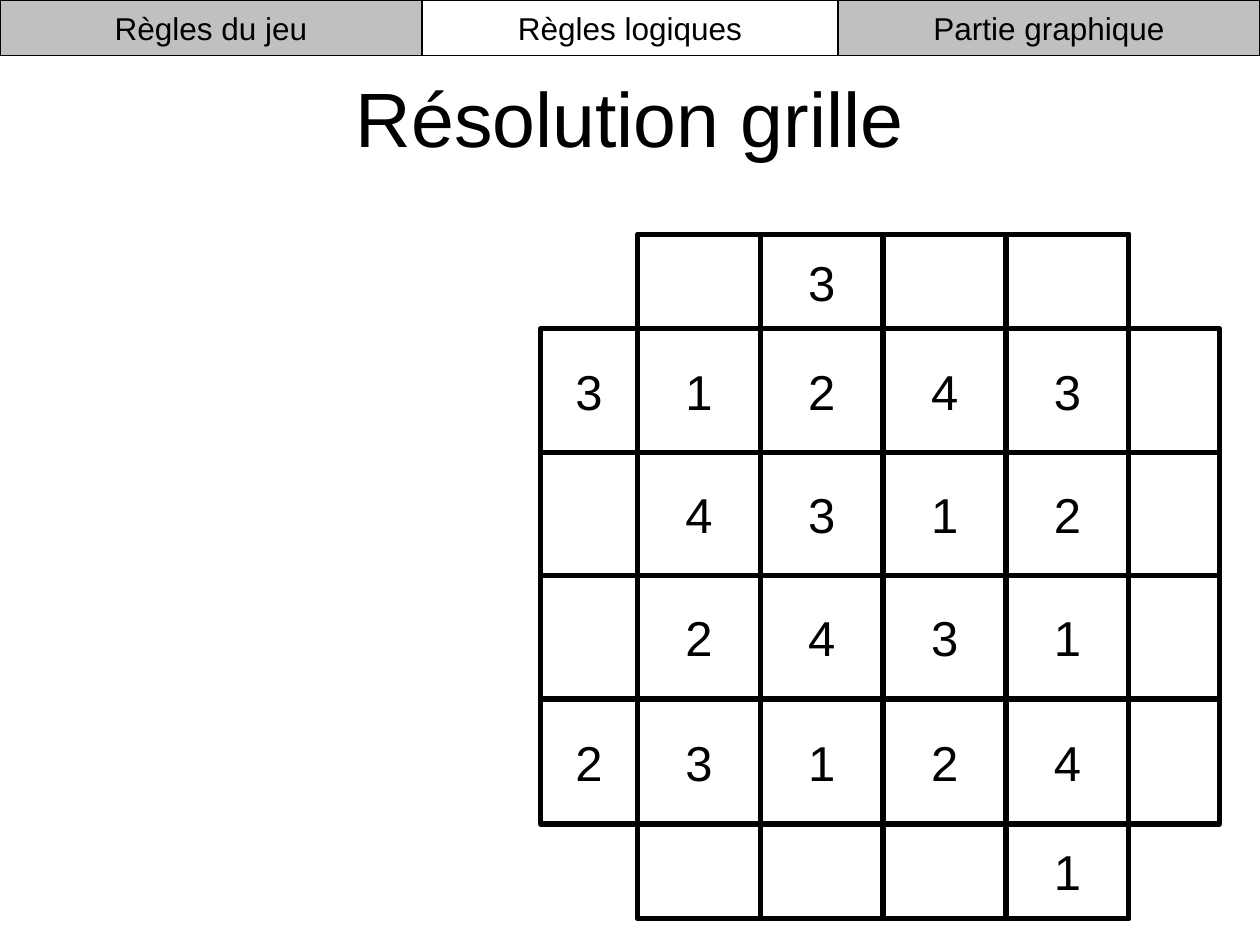
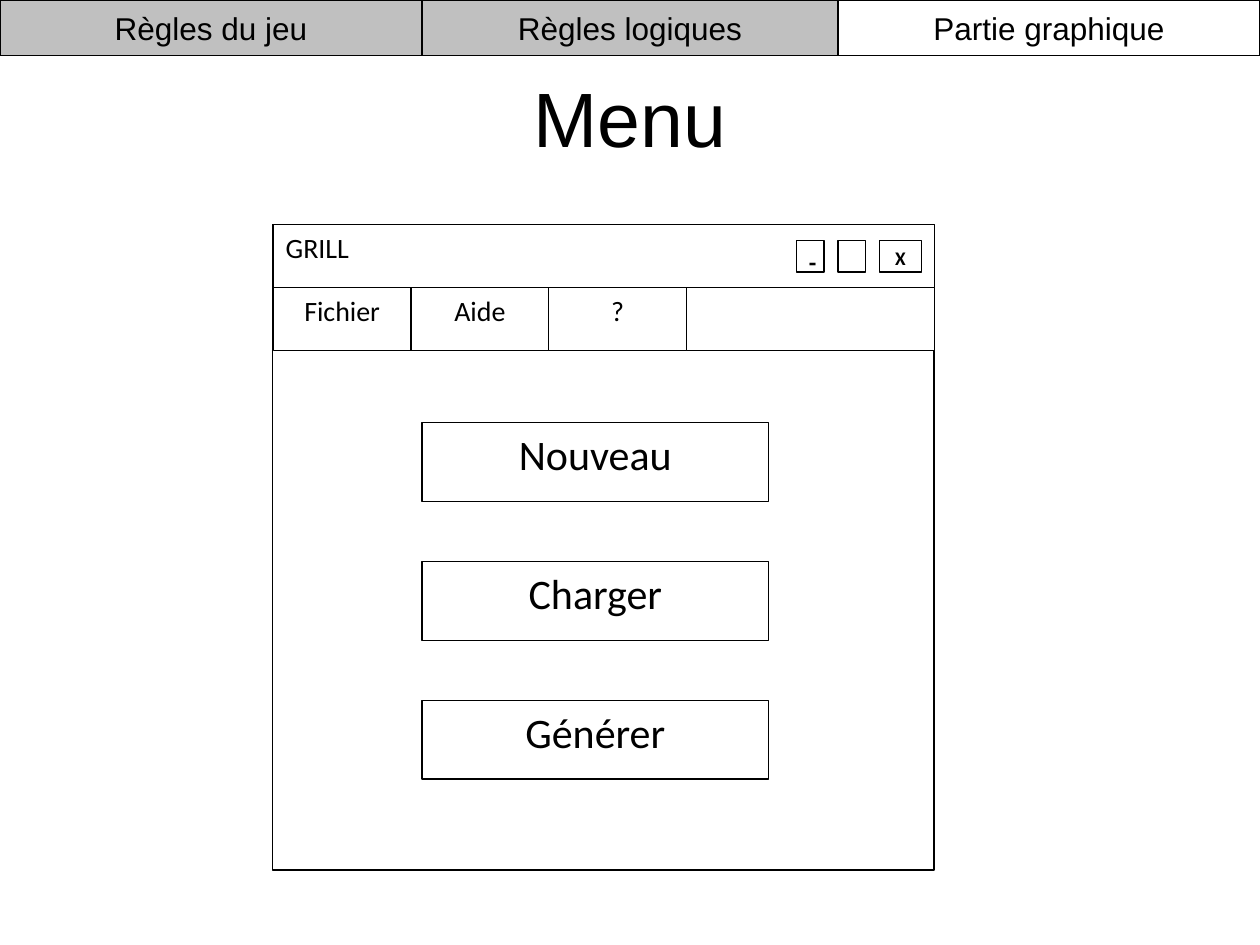
from collections import namedtuple
from itertools import pairwise

from pptx import Presentation
from pptx.dml.color import RGBColor
from pptx.enum.shapes import MSO_CONNECTOR, MSO_SHAPE
from pptx.enum.text import MSO_ANCHOR, PP_ALIGN
from pptx.oxml.ns import qn
from pptx.util import Pt

BLACK, WHITE, GREY = "000000", "FFFFFF", "C0C0C0"
PAGE_WIDTH, PAGE_HEIGHT = 720, 540
Box = namedtuple("Box", "left top width height")

TABS_BOX = Box(0, 0, PAGE_WIDTH, 31.7)
TITLE_BOX = Box(36, 21.6, 648, 90)
SECTIONS = ["Règles du jeu", "Règles logiques", "Partie graphique"]

# Clues stand in the outer rows and columns; a dot is an empty cell.
SOLVED_GRID = ["..3...", "31243.", ".4312.", ".2431.", "23124.", "....1."]


def color(value):
    return RGBColor.from_string(value)


def lengths(box):
    return [Pt(value) for value in box]


def write(shape, text, size, font="Arial", bold=False,
          align=PP_ALIGN.CENTER, anchor=MSO_ANCHOR.MIDDLE, wrap=True):
    frame = shape.text_frame
    frame.word_wrap = wrap
    frame.vertical_anchor = anchor
    para = frame.paragraphs[0]
    para.alignment = align
    span = para.add_run()
    span.text = text
    span.font.name = font
    span.font.size = Pt(size)
    span.font.bold = bold
    span.font.color.rgb = color(BLACK)


def add_label(page, box, text, **style):
    write(page.shapes.add_textbox(*lengths(box)), text, **style)


def add_frame(page, box, fill=None, weight=0.75, text="", **style):
    shape = page.shapes.add_shape(MSO_SHAPE.RECTANGLE, *lengths(box))
    shape.shadow.inherit = False
    if fill:
        shape.fill.solid()
        shape.fill.fore_color.rgb = color(fill)
    else:
        shape.fill.background()
    shape.line.color.rgb = color(BLACK)
    shape.line.width = Pt(weight)
    if text:
        write(shape, text, **style)


def add_line(page, start, end, weight):
    line = page.shapes.add_connector(
        MSO_CONNECTOR.STRAIGHT, *lengths(start), *lengths(end))
    line.line.color.rgb = color(BLACK)
    line.line.width = Pt(weight)
    properties = line._element.spPr
    properties.append(properties.makeelement(qn("a:effectLst"), {}))


def add_tabs(page, box, current):
    """Draw the section bar; the middle tab lies full width behind the others."""
    side = 241.2
    places = {1: (0, box.width), 0: (0, side), 2: (box.width - side, side)}
    for index, (left, width) in places.items():
        add_frame(page, Box(box.left + left, box.top, width, box.height),
                  fill=WHITE if index == current else GREY,
                  text=SECTIONS[index], size=18, wrap=False)


def add_page(deck, title, section):
    page = deck.slides.add_slide(deck.slide_layouts[6])
    add_label(page, TITLE_BOX, title, size=44)
    add_tabs(page, TABS_BOX, section)
    return page


def add_puzzle(page, box):
    """Draw a 4 x 4 grid with a band of clues along each side."""
    weight, column, row = 3, 70.2, 70.5
    clue_width, clue_height = 55.4, 54
    columns = [box.left, *(box.left + clue_width + column * i for i in range(5)),
               box.left + box.width]
    rows = [box.top, *(box.top + clue_height + row * i for i in range(4)),
            box.top + box.height - clue_height, box.top + box.height]

    for first, last in [(1, 5), (2, 3), (4, 5)]:
        add_frame(page, Box(columns[first], box.top,
                            columns[last] - columns[first], box.height),
                  weight=weight)
    for first, last in [(1, 5), (2, 3)]:
        add_frame(page, Box(box.left, rows[first], box.width,
                            rows[last] - rows[first]), weight=weight)
    add_line(page, (columns[0], rows[4]), (columns[-1], rows[4]), weight)

    for digits, (top, bottom) in zip(SOLVED_GRID, pairwise(rows)):
        for digit, (left, right) in zip(digits, pairwise(columns)):
            if digit != ".":
                add_label(page, Box(left, top, right - left, bottom - top),
                          digit, size=28, wrap=False)


def add_menu_window(page, box):
    def part(left, top, width, height, text="", **style):
        style = {"font": "Calibri", "anchor": MSO_ANCHOR.TOP, **style}
        add_frame(page, Box(box.left + left, box.top + top, width, height),
                  fill=WHITE, text=text, **style)

    bar_height, entry_width = 36, 78.7
    add_frame(page, box)
    part(0.5, 0, box.width, bar_height, "GRILL", size=16, align=PP_ALIGN.LEFT)

    entries = ["Fichier", "Aide", "?"]
    for index, entry in enumerate(entries):
        part(0.5 + index * entry_width, bar_height, entry_width, bar_height,
             entry, size=16)
    entries_width = len(entries) * entry_width
    part(0.5 + entries_width, bar_height, box.width - entries_width, bar_height)

    controls = [("X", 347, 23.8, 11), ("", 323.2, 15.8, 14), ("-", 299.4, 15.8, 14)]
    for text, left, width, size in controls:
        part(left, 9.2, width, 18, text, size=size, bold=True)

    for index, action in enumerate(["Nouveau", "Charger", "Générer"]):
        part(85.5, 113.4 + index * 79.3, 198, 45, action, size=24)


def main():
    deck = Presentation()
    deck.slide_width, deck.slide_height = Pt(PAGE_WIDTH), Pt(PAGE_HEIGHT)
    add_puzzle(add_page(deck, "Résolution grille", section=1),
               Box(308.9, 133.9, 388, 391))
    add_menu_window(add_page(deck, "Menu", section=2),
                    Box(155.7, 128.2, 378, 369))
    deck.save("out.pptx")


if __name__ == "__main__":
    main()
